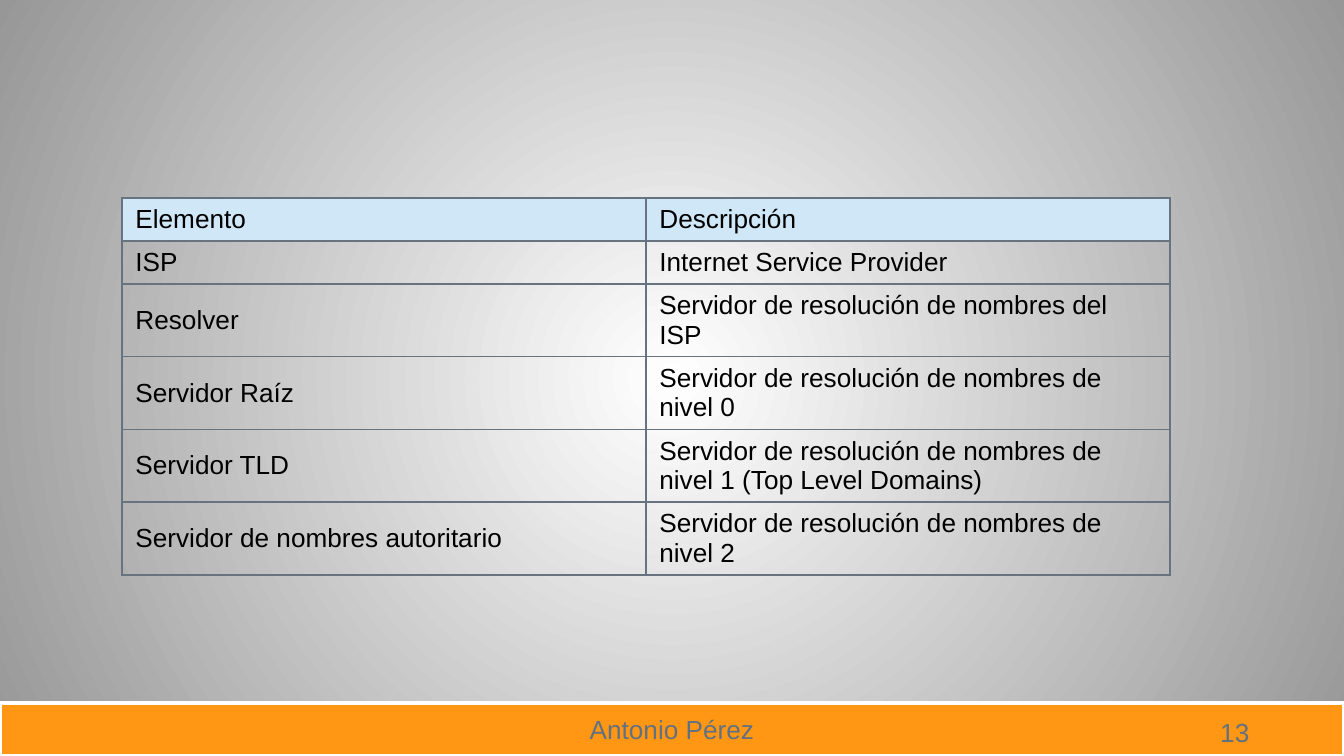
from lxml.etree import SubElement
from pptx import Presentation
from pptx.dml.color import RGBColor
from pptx.enum.shapes import MSO_SHAPE
from pptx.enum.text import MSO_ANCHOR as ANCHOR, PP_ALIGN as ALIGN
from pptx.oxml import parse_xml
from pptx.oxml.ns import nsdecls, qn
from pptx.util import Pt

PX = 914400 / 134.4
WIDTH, HEIGHT = 1344, 756
COLORS = {
    "center": "FFFFFF", "edge": "979797", "bar": "FF9715", "bar_line": "FFFFFF",
    "footer": "617181", "header": "CFE7F7", "border": "677480", "text": "000000",
}
ROWS = [
    ("Elemento", "Descripción"),
    ("ISP", "Internet Service Provider"),
    ("Resolver", "Servidor de resolución de nombres del ISP"),
    ("Servidor Raíz", "Servidor de resolución de nombres de nivel 0"),
    ("Servidor TLD", "Servidor de resolución de nombres de nivel 1 (Top Level Domains)"),
    ("Servidor de nombres autoritario", "Servidor de resolución de nombres de nivel 2"),
]
ROW_HEIGHTS = [43, 43, 72, 72, 72, 72]


def px(n):
    return round(n * PX)


def rgb(name):
    return RGBColor.from_string(COLORS[name])


def write(tf, text, color="text", size=14, font="Arial", align=ALIGN.LEFT):
    tf.word_wrap = True
    p = tf.paragraphs[0]
    p.alignment = align
    r = p.add_run()
    r.text = text
    r.font.name, r.font.size = font, Pt(size)
    r.font.color.rgb = rgb(color)


def paint_background(s):
    """Radial gradient from the middle of the slide."""
    fill = s.background.fill
    fill.gradient()
    for stop, name, position in zip(fill.gradient_stops, ("center", "edge"), (0, 1)):
        stop.color.rgb = rgb(name)
        stop.position = position
    grad = s.element.find(".//" + qn("a:gradFill"))
    grad.remove(grad.find(qn("a:lin")))
    circle = SubElement(grad, qn("a:path"), {"path": "circle"})
    SubElement(circle, qn("a:fillToRect"), dict.fromkeys("ltrb", "50000"))


def add_footer(s, x, y, w, h):
    bar = s.shapes.add_shape(MSO_SHAPE.RECTANGLE, px(x), px(y), px(w), px(h))
    bar.shadow.inherit = False
    bar.fill.solid()
    bar.fill.fore_color.rgb = rgb("bar")
    bar.line.color.rgb = rgb("bar_line")
    bar.line.width = Pt(2)
    bar.text_frame.vertical_anchor = ANCHOR.MIDDLE
    write(bar.text_frame, "Antonio Pérez", "footer", align=ALIGN.CENTER)

    number = s.shapes.add_textbox(px(x + w - 137), px(y + 7), px(81), px(46))
    write(number.text_frame, "13", "footer")


def set_borders(cell):
    tc_pr = cell._tc.get_or_add_tcPr()
    for i, side in enumerate("LRTB"):
        tc_pr.insert(i, parse_xml(
            f'<a:ln{side} {nsdecls("a")} w="{Pt(1)}"><a:solidFill>'
            f'<a:srgbClr val="{COLORS["border"]}"/></a:solidFill></a:ln{side}>'))


def add_glossary(s, x, y, w):
    frame = s.shapes.add_table(len(ROWS), 2, px(x), px(y), px(w), px(sum(ROW_HEIGHTS)))
    table = frame.table
    table.first_row = table.horz_banding = False
    for column in table.columns:
        column.width = px(w / 2)
    for i, (texts, height) in enumerate(zip(ROWS, ROW_HEIGHTS)):
        table.rows[i].height = px(height)
        for cell, text in zip(table.rows[i].cells, texts):
            cell.vertical_anchor = ANCHOR.MIDDLE
            cell.margin_top = cell.margin_bottom = px(5)
            if i == 0:
                cell.fill.solid()
                cell.fill.fore_color.rgb = rgb("header")
            else:
                cell.fill.background()
            set_borders(cell)
            write(cell.text_frame, text)


def main():
    prs = Presentation()
    prs.slide_width, prs.slide_height = px(WIDTH), px(HEIGHT)
    s = prs.slides.add_slide(prs.slide_layouts[6])
    paint_background(s)
    add_footer(s, 0, 703, WIDTH, 53)
    add_glossary(s, 122, 198, 1048)
    prs.save("out.pptx")


if __name__ == "__main__":
    main()
